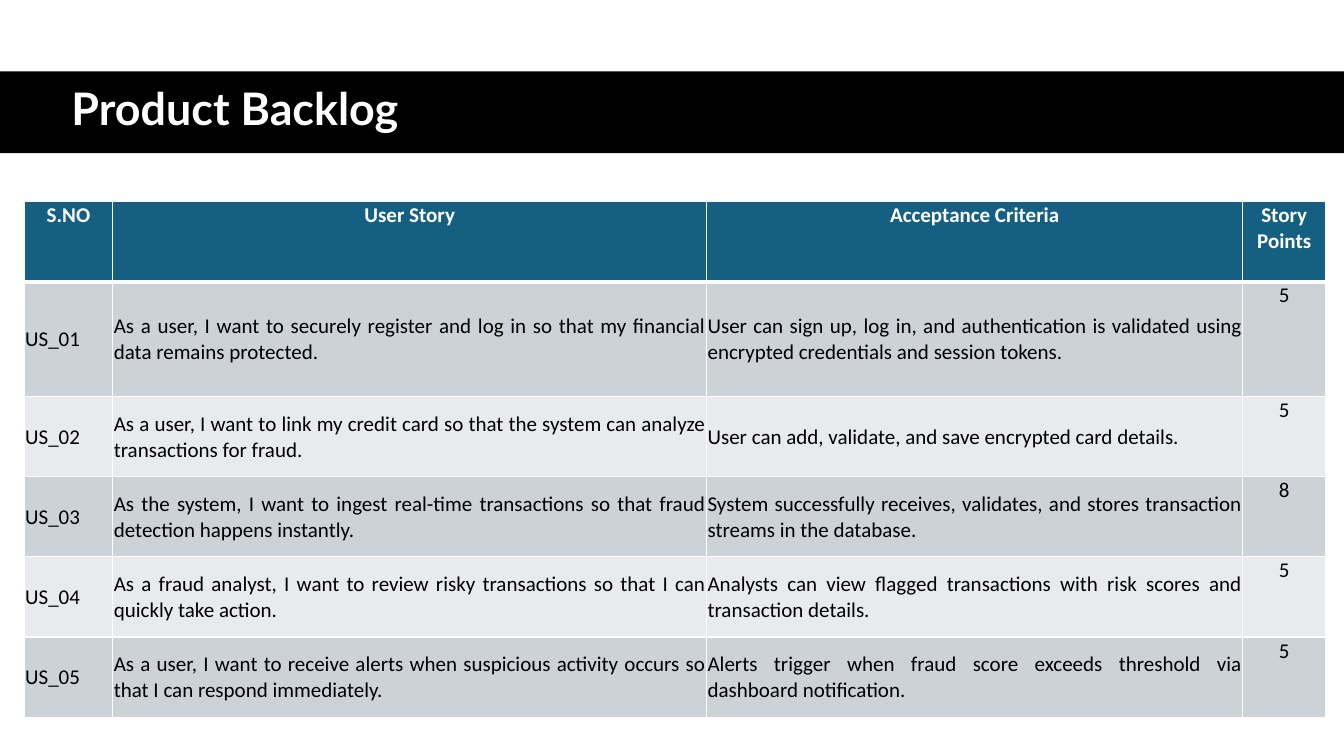
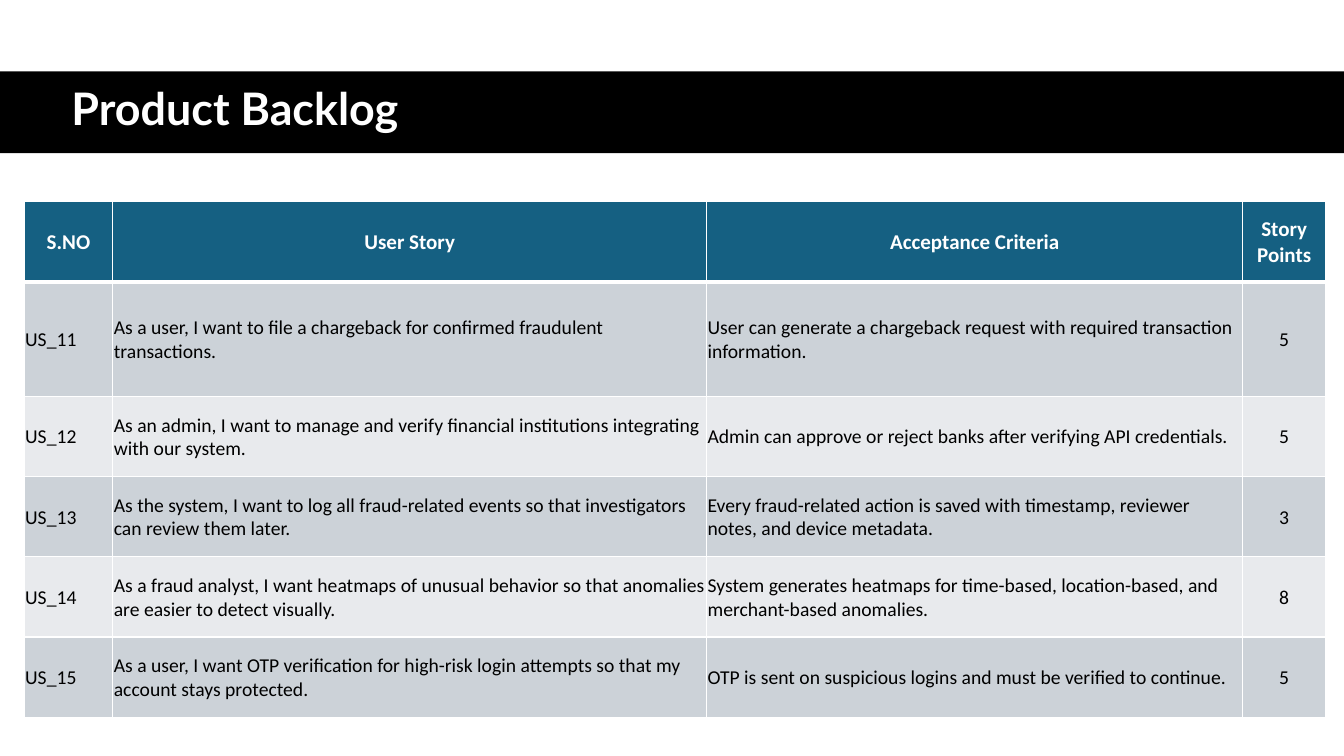
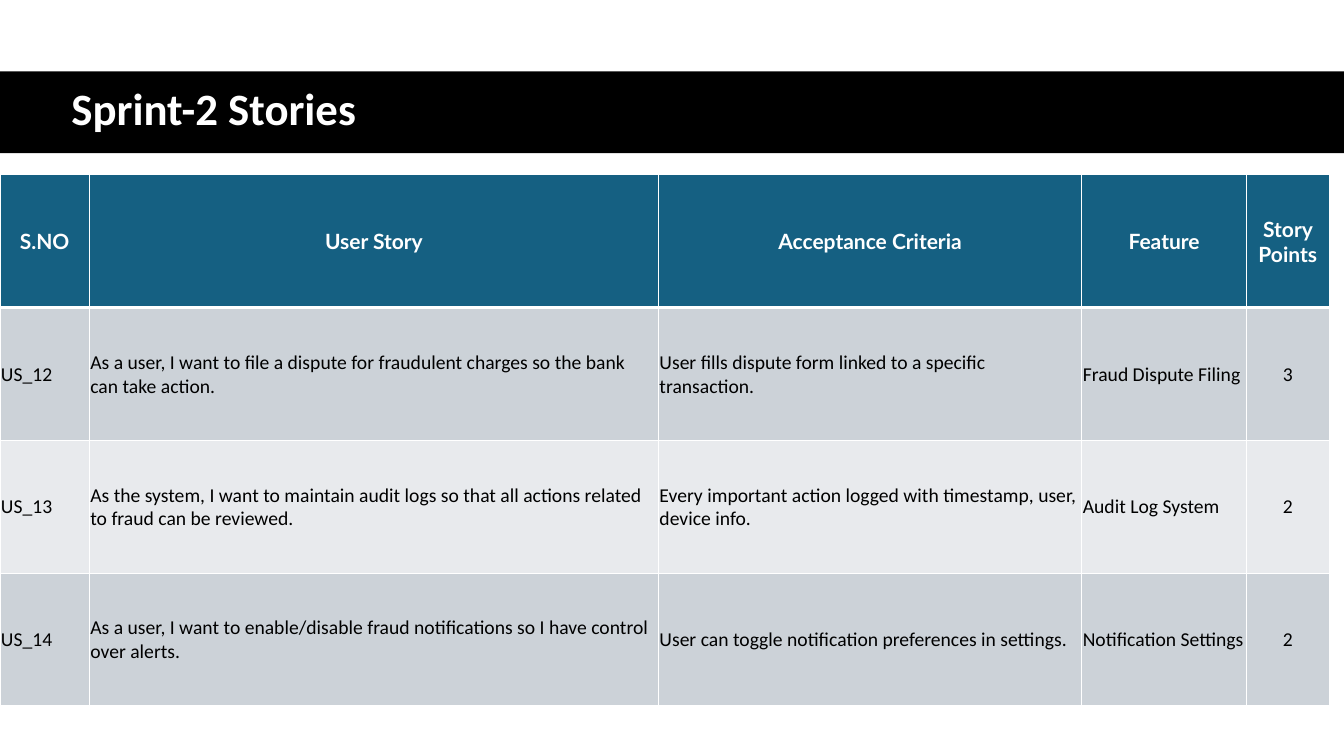
from lxml.etree import SubElement
from pptx import Presentation
from pptx.dml.color import RGBColor
from pptx.enum.shapes import MSO_SHAPE
from pptx.enum.text import MSO_ANCHOR, PP_ALIGN
from pptx.oxml.ns import qn
from pptx.util import Inches, Pt

BLACK = RGBColor(0x00, 0x00, 0x00)
WHITE = RGBColor(0xFF, 0xFF, 0xFF)
HEADER_TEAL = RGBColor(0x15, 0x60, 0x82)
BAND_DARK = RGBColor(0xCC, 0xD2, 0xD8)
BAND_LIGHT = RGBColor(0xE8, 0xEA, 0xED)

deck = Presentation()
deck.slide_width, deck.slide_height = Inches(13.33), Inches(7.5)
# All lengths below are percentages of the slide's width (W) or height (H).
W, H = deck.slide_width / 100, deck.slide_height / 100

BACKLOG_HEADINGS = ["S.NO", "User Story", "Acceptance Criteria", "Story Points"]
BACKLOG_GRID = dict(
    left=1.8, top=26.67,
    columns=[6.6, 44.18, 39.9, 6.15],
    rows=[10.6, 15.2] + [10.6] * 4,
)

pages = [
    dict(
        BACKLOG_GRID, title="Product Backlog", title_font="Lato",
        header_font="Calibri", body_size=15, body_align=PP_ALIGN.JUSTIFY,
        edge_anchor=MSO_ANCHOR.TOP, headings=BACKLOG_HEADINGS,
        stories=[
            ["US_01", "As a user, I want to securely register and log in so that my financial data remains protected.",
             "User can sign up, log in, and authentication is validated using encrypted credentials and session tokens.", "5"],
            ["US_02", "As a user, I want to link my credit card so that the system can analyze transactions for fraud.",
             "User can add, validate, and save encrypted card details.", "5"],
            ["US_03", "As the system, I want to ingest real-time transactions so that fraud detection happens instantly.",
             "System successfully receives, validates, and stores transaction streams in the database.", "8"],
            ["US_04", "As a fraud analyst, I want to review risky transactions so that I can quickly take action.",
             "Analysts can view flagged transactions with risk scores and transaction details.", "5"],
            ["US_05", "As a user, I want to receive alerts when suspicious activity occurs so that I can respond immediately.",
             "Alerts trigger when fraud score exceeds threshold via dashboard notification.", "5"],
        ],
    ),
    dict(
        BACKLOG_GRID, title="Product Backlog", title_font="Lato",
        header_font="Calibri", body_size=14, body_align=PP_ALIGN.LEFT,
        edge_anchor=MSO_ANCHOR.MIDDLE, headings=BACKLOG_HEADINGS,
        stories=[
            ["US_11", "As a user, I want to file a chargeback for confirmed fraudulent transactions.",
             "User can generate a chargeback request with required transaction information.", "5"],
            ["US_12", "As an admin, I want to manage and verify financial institutions integrating with our system.",
             "Admin can approve or reject banks after verifying API credentials.", "5"],
            ["US_13", "As the system, I want to log all fraud-related events so that investigators can review them later.",
             "Every fraud-related action is saved with timestamp, reviewer notes, and device metadata.", "3"],
            ["US_14", "As a fraud analyst, I want heatmaps of unusual behavior so that anomalies are easier to detect visually.",
             "System generates heatmaps for time-based, location-based, and merchant-based anomalies.", "8"],
            ["US_15", "As a user, I want OTP verification for high-risk login attempts so that my account stays protected.",
             "OTP is sent on suspicious logins and must be verified to continue.", "5"],
        ],
    ),
    dict(
        left=0, top=23.1, columns=[6.65, 42.35, 31.5, 12.25, 6.15], rows=[17.57] * 4,
        title="Sprint-2 Stories", title_font="Calibri",
        header_font="Lato", body_size=14, body_align=PP_ALIGN.LEFT,
        edge_anchor=MSO_ANCHOR.MIDDLE,
        headings=["S.NO", "User Story", "Acceptance Criteria", "Feature", "Story Points"],
        stories=[
            ["US_12", "As a user, I want to file a dispute for fraudulent charges so the bank can take action.",
             "User fills dispute form linked to a specific transaction.", "Fraud Dispute Filing", "3"],
            ["US_13", "As the system, I want to maintain audit logs so that all actions related to fraud can be reviewed.",
             "Every important action logged with timestamp, user, device info.", "Audit Log System", "2"],
            ["US_14", "As a user, I want to enable/disable fraud notifications so I have control over alerts.",
             "User can toggle notification preferences in settings.", "Notification Settings", "2"],
        ],
    ),
]


def write(frame, text, *, size, font="Calibri", color=BLACK, bold=False,
          align=PP_ALIGN.LEFT, line_spacing=1.0):
    paragraph = frame.paragraphs[0]
    paragraph.alignment = align
    paragraph.line_spacing = line_spacing
    run = paragraph.add_run()
    run.text = text
    run.font.size = Pt(size)
    run.font.name = font
    run.font.bold = bold
    run.font.color.rgb = color


def style_cell(cell, fill, top=1, bottom=1):
    """Set tight margins, white borders (top and bottom in points) and the fill."""
    cell.margin_left = cell.margin_top = cell.margin_right = Inches(0.01)
    cell.margin_bottom = 0
    properties = cell._tc.get_or_add_tcPr()
    for side, width in (("L", 1), ("R", 1), ("T", top), ("B", bottom)):
        border = SubElement(properties, qn(f"a:ln{side}"), w=str(Pt(width)))
        border_fill = SubElement(border, qn("a:solidFill"))
        SubElement(border_fill, qn("a:srgbClr"), val=str(WHITE))
    cell.fill.solid()
    cell.fill.fore_color.rgb = fill


for page in pages:
    slide = deck.slides.add_slide(deck.slide_layouts[6])

    band = slide.shapes.add_shape(
        MSO_SHAPE.RECTANGLE, 0, int(9.45 * H), deck.slide_width, int(10.8 * H))
    band.shadow.inherit = False
    band.fill.solid()
    band.fill.fore_color.rgb = BLACK
    band.line.fill.background()

    title = slide.shapes.add_textbox(
        int(4.58 * W), int(9.33 * H), int(91.95 * W), int(10.8 * H)).text_frame
    title.word_wrap = True
    title.vertical_anchor = MSO_ANCHOR.MIDDLE
    write(title, page["title"], size=32, font=page["title_font"], color=WHITE,
          bold=True, line_spacing=0.9)

    columns, rows = page["columns"], page["rows"]
    backlog = slide.shapes.add_table(
        len(rows), len(columns), int(page["left"] * W), int(page["top"] * H),
        int(sum(columns) * W), int(sum(rows) * H)).table
    backlog.horz_banding = False
    for column, share in zip(backlog.columns, columns):
        column.width = int(share * W)
    for row, share in zip(backlog.rows, rows):
        row.height = int(share * H)

    for c, heading in enumerate(page["headings"]):
        cell = backlog.cell(0, c)
        style_cell(cell, HEADER_TEAL, bottom=3)
        cell.vertical_anchor = page["edge_anchor"]
        write(cell.text_frame, heading, size=15, font=page["header_font"],
              color=WHITE, bold=True, align=PP_ALIGN.CENTER)

    for r, story in enumerate(page["stories"], start=1):
        for c, entry in enumerate(story):
            is_points = c == len(story) - 1
            cell = backlog.cell(r, c)
            style_cell(cell, BAND_DARK if r % 2 else BAND_LIGHT, top=3 if r == 1 else 1)
            cell.vertical_anchor = page["edge_anchor"] if is_points else MSO_ANCHOR.MIDDLE
            write(cell.text_frame, entry, size=page["body_size"],
                  align=PP_ALIGN.CENTER if is_points else page["body_align"])

deck.save("out.pptx")
